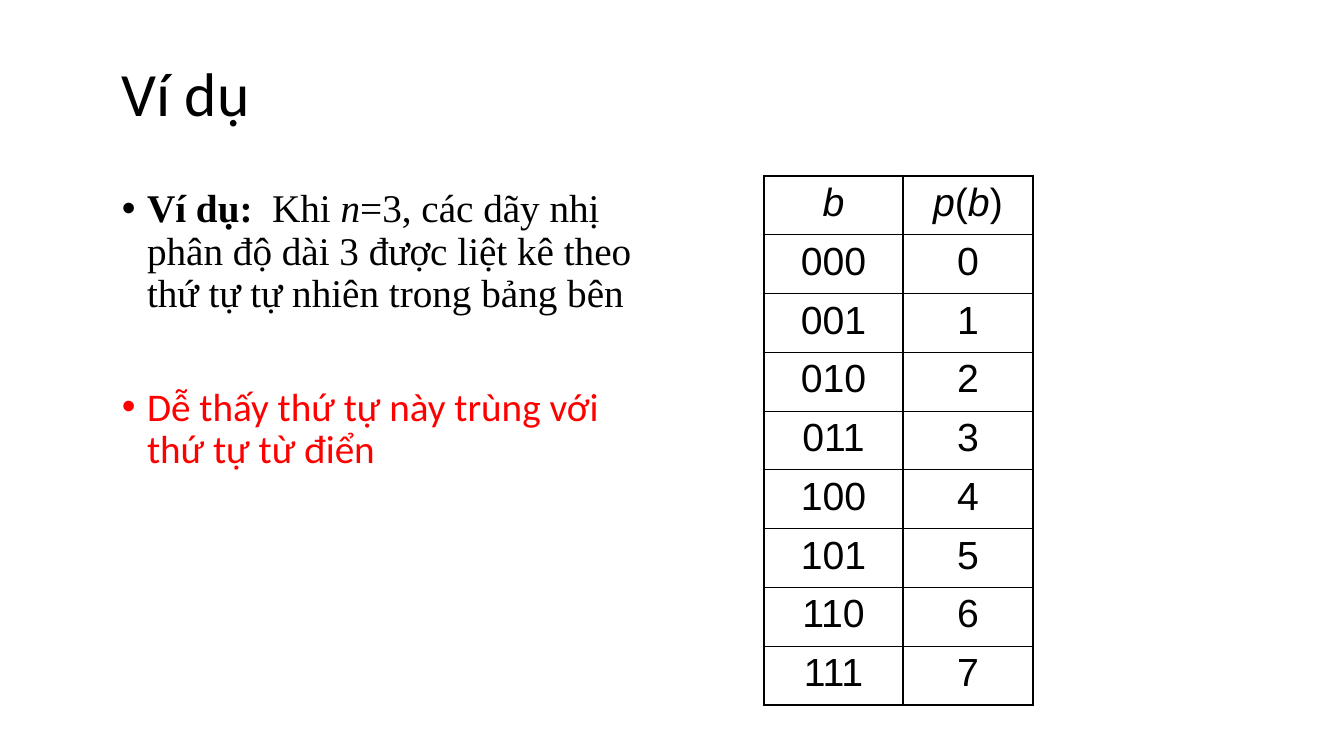
from lxml.etree import SubElement
from pptx import Presentation
from pptx.dml.color import RGBColor
from pptx.enum.text import MSO_ANCHOR, PP_ALIGN
from pptx.oxml.ns import qn
from pptx.util import Emu, Pt

BLACK = RGBColor(0x00, 0x00, 0x00)
RED = RGBColor(0xFF, 0x00, 0x00)
THICK, THIN = Pt(2.25), Pt(1)


def px(*lengths):
    return [Emu(round(length * 914400 / 100.8)) for length in lengths]


def add_run(paragraph, text, color=BLACK, **formats):
    run = paragraph.add_run()
    run.text = text
    run.font.color.rgb = color
    for name, value in formats.items():
        setattr(run.font, name, value)


deck = Presentation()
deck.slide_width, deck.slide_height = px(1344, 756)
slide = deck.slides.add_slide(deck.slide_layouts[6])

title = slide.shapes.add_textbox(*px(112, 42, 1131, 109)).text_frame
title.word_wrap = True
title.vertical_anchor = MSO_ANCHOR.MIDDLE
title.paragraphs[0].line_spacing = 0.9
add_run(title.paragraphs[0], "Ví dụ", name="Calibri", size=Pt(44))

explanation = slide.shapes.add_textbox(*px(112, 184, 554, 496)).text_frame
explanation.word_wrap = True
example = explanation.paragraphs[0]
remark = explanation.add_paragraph()
for point, gap in ((example, 10), (remark, 51)):
    point.line_spacing = 0.9
    point.space_before = Pt(gap)
    properties = point._p.get_or_add_pPr()
    properties.set("marL", "228600")
    properties.set("indent", "-228600")
    SubElement(properties, qn("a:buFont"), typeface="Arial")
    SubElement(properties, qn("a:buChar"), char="•")

for text, emphasis in (
    ("Ví dụ:", {"bold": True}),
    ("  Khi ", {}),
    ("n", {"italic": True}),
    ("=3, các dãy nhị phân độ dài 3 được liệt kê theo thứ tự tự nhiên trong bảng bên", {}),
):
    add_run(example, text, name="Times New Roman", size=Pt(28), **emphasis)
add_run(remark, "Dễ thấy thứ tự này trùng với thứ tự từ điển", RED, name="Calibri", size=Pt(28))

header = [[("b", True)], [("p", True), ("(", False), ("b", True), (")", False)]]
rows = [header] + [[[(f"{rank:03b}", False)], [(str(rank), False)]] for rank in range(8)]
last_row = len(rows) - 1

ranking = slide.shapes.add_table(len(rows), 2, *px(764, 176, 269, 529)).table
ranking.first_row = ranking.horz_banding = False
for column, width in zip(ranking.columns, px(139, 130)):
    column.width = width

for r, row in enumerate(rows):
    for c, pieces in enumerate(row):
        cell = ranking.cell(r, c)
        paragraph = cell.text_frame.paragraphs[0]
        paragraph.alignment = PP_ALIGN.CENTER
        for text, italic in pieces:
            add_run(paragraph, text, name="Arial", size=Pt(28), italic=italic)
        edges = {"a:lnL": c == 0, "a:lnR": c == 1, "a:lnT": r == 0, "a:lnB": r == last_row}
        for tag, outer in edges.items():
            border = SubElement(cell._tc.get_or_add_tcPr(), qn(tag), w=str(THICK if outer else THIN))
            fill = SubElement(border, qn("a:solidFill"))
            SubElement(fill, qn("a:srgbClr"), val=str(BLACK))
        cell.fill.background()

deck.save("out.pptx")
